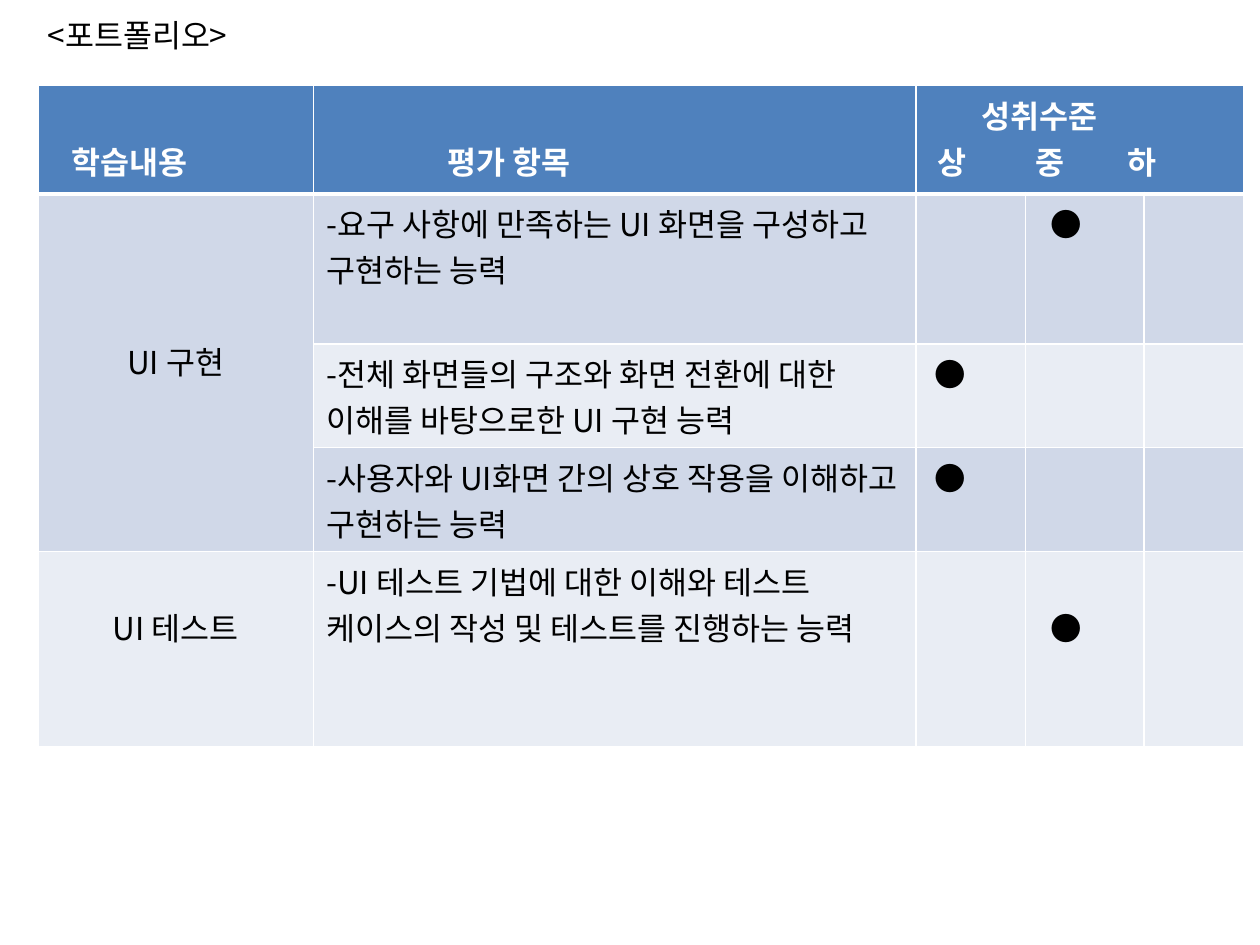
from dataclasses import dataclass

from pptx import Presentation
from pptx.dml.color import RGBColor
from pptx.enum import text
from pptx.oxml import ns
from pptx.table import Table, _Cell
from pptx.util import Inches, Pt
from lxml import etree

FONT = "Noto Sans CJK KR"
COLORS = {"header": "4F81BD", "dark": "D0D8E8", "light": "E9EDF4",
          "white": "FFFFFF", "black": "000000"}
COLUMN_WIDTHS = [2.19, 4.78, 0.87, 0.94, 0.79]
ROW_HEIGHTS = [0.86, 1.19, 0.82, 0.82, 1.55]
ROW_FILLS = ["header", "dark", "light", "dark", "light"]
LINE_HEIGHT = 0.365


@dataclass
class Entry:
    """Text of one table cell, with its left margin and first line."""
    row: int
    column: int
    wording: str
    left: float = 0.1
    line: int = 0
    centered: bool = False


ENTRIES = [
    Entry(0, 0, "학습내용", 0.27, 1),
    Entry(0, 1, "평가 항목", 1.06, 1),
    Entry(0, 2, "성취수준\n상\t중\t하", 0.17),
    Entry(1, 0, "UI 구현", line=3, centered=True),
    Entry(1, 1, "-요구 사항에 만족하는 UI 화면을 구성하고 구현하는 능력"),
    Entry(2, 1, "-전체 화면들의 구조와 화면 전환에 대한 이해를 바탕으로한 UI 구현 능력"),
    Entry(3, 1, "-사용자와 UI화면 간의 상호 작용을 이해하고 구현하는 능력"),
    Entry(4, 0, "UI 테스트", line=1, centered=True),
    Entry(4, 1, "-UI 테스트 기법에 대한 이해와 테스트 케이스의 작성 및 테스트를 진행하는 능력"),
    Entry(1, 3, "●", 0.2),
    Entry(2, 2, "●", 0.15),
    Entry(3, 2, "●", 0.15),
    Entry(4, 3, "●", 0.2, 1),
]


def style_paragraph(paragraph, color: str, bold: bool = False) -> None:
    """Set the common font of a paragraph."""
    font = paragraph.font
    font.name, font.size, font.bold = FONT, Pt(18), bold
    font.color.rgb = RGBColor.from_string(COLORS[color])
    properties = paragraph._p.get_or_add_pPr().find(ns.qn("a:defRPr"))
    etree.SubElement(properties, ns.qn("a:ea"), typeface=FONT)


def style_cell(cell: _Cell, row: int) -> None:
    """Give a cell its borders and fill."""
    properties = cell._tc.get_or_add_tcPr()
    for side in ("L", "R", "T", "B"):
        heavy = (row == 0 and side == "B") or (row == 1 and side == "T")
        line = etree.SubElement(properties, ns.qn(f"a:ln{side}"), w=str(Pt(3 if heavy else 1)))
        fill = etree.SubElement(line, ns.qn("a:solidFill"))
        etree.SubElement(fill, ns.qn("a:srgbClr"), val=COLORS["white"])
    cell.fill.solid()
    cell.fill.fore_color.rgb = RGBColor.from_string(COLORS[ROW_FILLS[row]])


def write_entry(table: Table, entry: Entry) -> None:
    """Write one entry into its cell."""
    cell = table.cell(entry.row, entry.column)
    cell.margin_left = Inches(entry.left)
    cell.margin_top = Inches(0.05 + entry.line * LINE_HEIGHT)
    cell.text_frame.text = entry.wording
    for paragraph in cell.text_frame.paragraphs:
        if entry.centered:
            paragraph.alignment = text.PP_ALIGN.CENTER
        style_paragraph(paragraph, "black" if entry.row else "white", entry.row == 0)


def indent_levels(cell: _Cell) -> None:
    """Indent the level heading and set tab stops for its grades."""
    heading, grades = cell.text_frame.paragraphs
    heading._p.get_or_add_pPr().set("marL", str(Inches(0.35)))
    tabs = etree.Element(ns.qn("a:tabLst"))
    for position in (0.78, 1.51):
        etree.SubElement(tabs, ns.qn("a:tab"), pos=str(Inches(position)), algn="l")
    grades._p.get_or_add_pPr().find(ns.qn("a:defRPr")).addprevious(tabs)


def build() -> None:
    """Build the portfolio assessment slide."""
    presentation = Presentation()
    presentation.slide_width, presentation.slide_height = Inches(10), Inches(7.5)
    slide = presentation.slides.add_slide(presentation.slide_layouts[6])

    table = slide.shapes.add_table(
        len(ROW_HEIGHTS), len(COLUMN_WIDTHS), Inches(0.3), Inches(0.68),
        Inches(sum(COLUMN_WIDTHS)), Inches(sum(ROW_HEIGHTS))).table
    table.first_row = table.horz_banding = False
    for column, width in zip(table.columns, COLUMN_WIDTHS):
        column.width = Inches(width)
    for index, (row, height) in enumerate(zip(table.rows, ROW_HEIGHTS)):
        row.height = Inches(height)
        for cell in row.cells:
            style_cell(cell, index)
    table.cell(0, 2).merge(table.cell(0, 4))
    table.cell(1, 0).merge(table.cell(3, 0))
    for entry in ENTRIES:
        write_entry(table, entry)
    indent_levels(table.cell(0, 2))

    title = slide.shapes.add_textbox(Inches(0.28), Inches(0.08), Inches(3.07), Inches(0.4))
    title.text_frame.word_wrap = True
    title.text_frame.auto_size = text.MSO_AUTO_SIZE.SHAPE_TO_FIT_TEXT
    title.text_frame.text = "<포트폴리오>"
    style_paragraph(title.text_frame.paragraphs[0], "black")

    presentation.save("out.pptx")


build()
